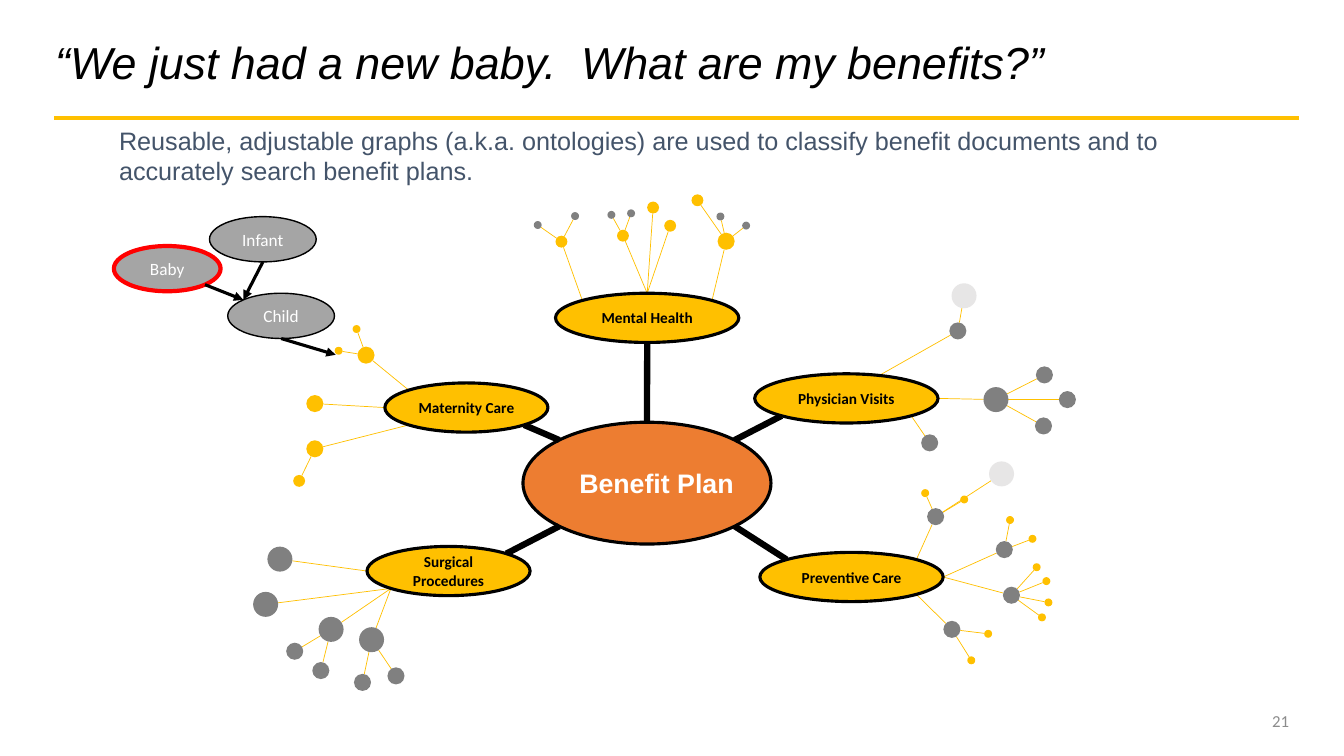
import math

from lxml import etree
from pptx import Presentation
from pptx import util as u
from pptx.dml.color import RGBColor
from pptx.enum import shapes as es, text as et
from pptx.oxml import ns

GOLD = RGBColor(0xFF, 0xC0, 0x00)
ORANGE = RGBColor(0xED, 0x7D, 0x31)
GREY = RGBColor(0x80, 0x80, 0x80)
PALE = RGBColor(0xE7, 0xE6, 0xE6)
ASH = RGBColor(0xA5, 0xA5, 0xA5)
DIM = RGBColor(0x8C, 0x8C, 0x8C)
SLATE = RGBColor(0x44, 0x54, 0x6A)
RED = RGBColor(0xFF, 0x00, 0x00)
BLACK = RGBColor(0, 0, 0)
WHITE = RGBColor(0xFF, 0xFF, 0xFF)
TINY, SMALL, MID, BIG = 0.2, 0.3, 0.43, 0.63
HUB = (13.18, 10.64, 6.25, 3.07)


def rim(box, angle):
    x, y, wide, high = box
    turn = math.radians(angle)
    return x + wide / 2 * (1 + math.cos(turn)), y + high / 2 * (1 - math.sin(turn))


def around(point, size):
    return point[0] - size / 2, point[1] - size / 2, size, size


def polar(point, reach, angle):
    return rim(around(point, 2 * reach), angle)


def facing(start, end):
    return math.degrees(math.atan2(start[1] - end[1], end[0] - start[0]))


def line(slide, start, end, color, width, arrow=False):
    ends = [u.Cm(n) for n in (*start, *end)]
    link = slide.shapes.add_connector(es.MSO_CONNECTOR.STRAIGHT, *ends)
    link.line.color.rgb = color
    link.line.width = u.Pt(width)
    if arrow:
        etree.SubElement(link.line._get_or_add_ln(), ns.qn("a:tailEnd"), type="triangle")
    etree.SubElement(link._element.spPr, ns.qn("a:effectLst"))


def oval(slide, box, fill, edge=None, width=0):
    shape = slide.shapes.add_shape(es.MSO_SHAPE.OVAL, *[u.Cm(n) for n in box])
    shape.shadow.inherit = False
    shape.fill.solid()
    shape.fill.fore_color.rgb = fill
    if edge is None:
        shape.line.fill.background()
    else:
        shape.line.color.rgb = edge
        shape.line.width = u.Pt(width)
    return shape


def write(shape, words, size, font, color, align=et.PP_ALIGN.CENTER, pad=(0, 0),
          anchor=et.MSO_ANCHOR.MIDDLE, bold=False, slant=False):
    frame = shape.text_frame
    frame.word_wrap = True
    frame.vertical_anchor = anchor
    frame.margin_left = frame.margin_right = u.Cm(pad[0])
    frame.margin_top = frame.margin_bottom = u.Cm(pad[1])
    para = frame.paragraphs[0]
    para.alignment = align
    run = para.add_run()
    run.text = words
    run.font.size = u.Pt(size)
    run.font.name = font
    run.font.bold = bold
    run.font.italic = slant
    run.font.color.rgb = color
    return para


def field(slide, *box):
    return slide.shapes.add_textbox(*[u.Cm(n) for n in box])


def header(slide, x, y):
    left = et.PP_ALIGN.LEFT
    line(slide, (x + 0.23, y + 2.36), (x + 31.6, y + 2.36), GOLD, 3)
    title = write(field(slide, x, y, 27.74, 2.06),
                  "“We just had a new baby.  What are my benefits?”",
                  32, "Arial", BLACK, left, (0.25, 0.13), slant=True)
    title.line_spacing = 0.9
    write(field(slide, x + 1.86, y + 2.54, 28.8, 1.47),
          "Reusable, adjustable graphs (a.k.a. ontologies) are used to classify "
          "benefit documents and to accurately search benefit plans.",
          18, "Arial", SLATE, left, anchor=et.MSO_ANCHOR.TOP)


def footer(slide, x, y):
    write(field(slide, x, y, 7.62, 1.02), "21", 12, "Calibri", DIM,
          et.PP_ALIGN.RIGHT, (0.25, 0.13))


def hub(slide, box):
    core = oval(slide, box, ORANGE, BLACK, 2.25)
    para = write(core, "Benefit Plan", 19.1, "Arial", WHITE, pad=(0, 0.08), bold=True)
    para.space_after = u.Pt(6)
    para._p.get_or_add_pPr().set("marL", str(u.Cm(0.48)))


def branch(slide, box, name, spoke, color, nodes):
    line(slide, rim(HUB, spoke), rim(box, spoke + 180), BLACK, 4.5)
    x, y, wide, high = box
    dots = []
    for side, dx, dy, size, *fans in nodes:
        node = x + wide / 2 + dx, y + high / 2 + dy
        ball = around(node, size)
        root = rim(box, side)
        line(slide, root, rim(ball, facing(node, root)), GOLD, 0.5)
        dots.append((ball, color))
        for small, tint, reach, angles in fans:
            for angle in angles:
                leaf = around(polar(node, reach, angle), small)
                line(slide, rim(ball, angle), rim(leaf, angle + 180), GOLD, 0.5)
                dots.append((leaf, tint))
    for ball, tint in dots:
        oval(slide, ball, tint)
    label = oval(slide, box, GOLD, BLACK, 2.25)
    write(label, name, 10.9, "Calibri", BLACK, bold=True)


def family(slide, x, y):
    child, baby, kid = [(x + dx, y + dy, 2.69, 1.14)
                        for dx, dy in [(2.94, 1.99), (0.07, 0.8), (2.48, 0.06)]]
    for name, box, edge, width in [("Child", child, BLACK, 1), ("Baby", baby, RED, 3),
                                   ("Infant", kid, BLACK, 1)]:
        write(oval(slide, box, ASH, edge, width), name, 12.3, "Calibri", WHITE,
              pad=(0.18, 0.08))
    for start, end in [(rim(kid, 270), rim(child, 135)), (rim(baby, -45), rim(child, 135)),
                       (rim(child, 270), (x + 5.66, y + 3.54))]:
        line(slide, start, end, BLACK, 2.25, True)


BRANCHES = [
    ((14, 7.39, 4.62, 1.24), "Mental Health", 90, GOLD, [
        (135, -2.16, -1.92, SMALL, (TINY, GREY, 0.73, [145, 62])),
        (90, -0.61, -2.07, SMALL, (TINY, GREY, 0.6, [119, 70])),
        (90, 0.15, -2.78, SMALL),
        (90, 0.58, -2.32, SMALL),
        (45, 1.99, -1.93, MID, (TINY, GREY, 0.64, [103, 38]), (SMALL, GOLD, 1.26, [125]))]),
    ((9.7, 9.65, 4.11, 1.24), "Maternity Care", 135, GOLD, [
        (135, -2.53, -1.32, MID, (TINY, GOLD, 0.7, [110, 171])),
        (180, -3.82, -0.1, MID),
        (225, -3.82, 1.04, MID, (SMALL, GOLD, 0.9, [244]))]),
    ((19.02, 9.42, 4.62, 1.24), "Physician Visits", 45, GREY, [
        (69, 2.81, -1.7, MID, (BIG, PALE, 0.9, [80])),
        (-45, 2.1, 1.12, MID),
        (0, 3.77, 0.03, BIG, (MID, GREY, 1.37, [27, -29]), (MID, GREY, 1.8, [0]))]),
    ((19.15, 13.92, 4.62, 1.24), "Preventive Care", -45, GREY, [
        (45, 2.12, -1.52, MID, (BIG, PALE, 1.98, [33]), (TINY, GOLD, 0.84, [31]),
         (TINY, GOLD, 0.65, [114])),
        (0, 3.85, -0.69, MID, (TINY, GOLD, 0.76, [79, 21])),
        (0, 4.03, 0.46, MID, (TINY, GOLD, 0.95, [48, 22, -11, -36])),
        (-45, 2.53, 1.32, MID, (TINY, GOLD, 0.92, [-7, -58]))]),
    ((9.25, 13.77, 4.11, 1.24), "Surgical Procedures", 225, GREY, [
        (180, -4.25, -0.3, BIG),
        (225, -4.61, 0.84, BIG),
        (225, -2.96, 1.47, BIG, (MID, GREY, 1.07, [256, 211])),
        (225, -1.94, 1.73, BIG, (MID, GREY, 1.1, [258, 304]))]),
]


def main():
    deck = Presentation()
    deck.slide_width, deck.slide_height = u.Cm(33.87), u.Cm(19.05)
    slide = deck.slides.add_slide(deck.slide_layouts[6])
    header(slide, 1.14, 0.61)
    hub(slide, HUB)
    for parts in BRANCHES:
        branch(slide, *parts)
    family(slide, 2.8, 5.4)
    footer(slide, 25.12, 17.65)
    deck.save("out.pptx")


if __name__ == "__main__":
    main()
